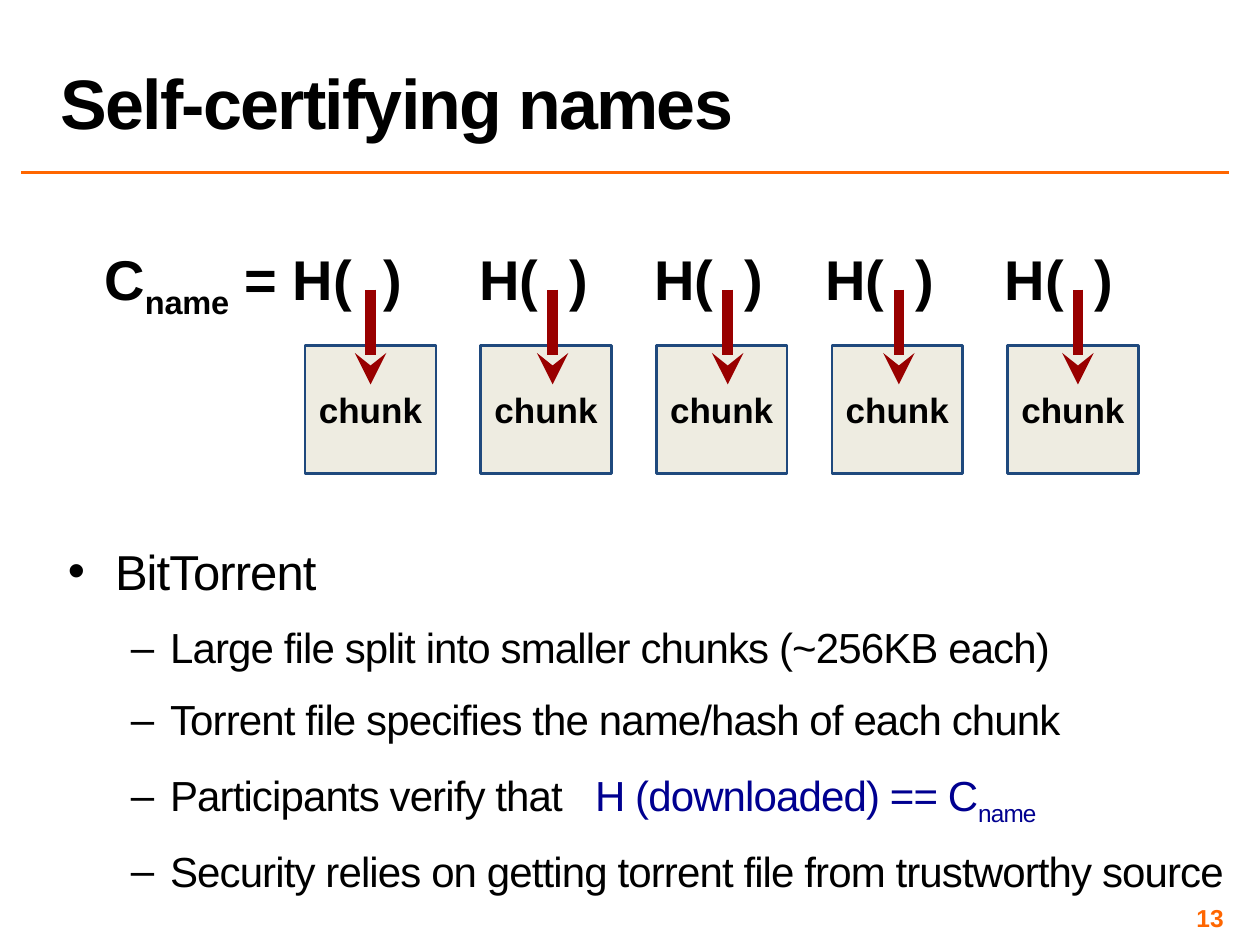
from lxml import etree
from pptx import Presentation
from pptx import util as u
from pptx.dml.color import RGBColor
from pptx.enum import shapes, text
from pptx.oxml.ns import qn

FONT = "Arial"
BLACK, ORANGE, RED, BLUE = "000000", "FF6600", "990000", "000090"
SUBSCRIPT = -25000

CHUNK_LEFT, CHUNK_PITCH = 6.15, 3.54
HASH_WIDTH = 3.68
HASH_LEFTS = (8.92, 12.45, 15.9, 19.51)


def color(hex_string):
    return RGBColor.from_string(hex_string)


def add_spans(para, spans):
    """Each span is (text, color or None, baseline or None)."""
    for words, hex_string, baseline in spans:
        span = para.add_run()
        span.text = words
        if hex_string:
            span.font.color.rgb = color(hex_string)
        if baseline:
            span.font._rPr.set("baseline", str(baseline))


def set_font(para, size, hex_string=BLACK, bold=False, tracking=0):
    font = para.font
    font.name, font.size, font.bold = FONT, u.Pt(size), bold
    font.color.rgb = color(hex_string)
    if tracking:
        font._rPr.set("spc", str(tracking))


def set_frame(frame, anchor, inset_x, inset_y):
    frame.word_wrap = True
    frame.vertical_anchor = anchor
    frame.margin_left = frame.margin_right = u.Cm(inset_x)
    frame.margin_top = frame.margin_bottom = u.Cm(inset_y)


def add_box(page, left, top, width, height, anchor=text.MSO_ANCHOR.TOP,
            inset_x=0.25, inset_y=0.25):
    box = page.shapes.add_textbox(u.Cm(left), u.Cm(top), u.Cm(width), u.Cm(height))
    set_frame(box.text_frame, anchor, inset_x, inset_y)
    return box.text_frame


def add_line(page, x1, y1, x2, y2, hex_string, width, arrow=False):
    line = page.shapes.add_connector(
        shapes.MSO_CONNECTOR.STRAIGHT, u.Cm(x1), u.Cm(y1), u.Cm(x2), u.Cm(y2))
    line.line.color.rgb = color(hex_string)
    line.line.width = u.Pt(width)
    if arrow:
        etree.SubElement(line.line._get_or_add_ln(), qn("a:tailEnd"), type="stealth")
    etree.SubElement(line._element.spPr, qn("a:effectLst"))


def add_title(page, words):
    frame = add_box(page, 0.97, 0.05, 24.43, 2.97, text.MSO_ANCHOR.BOTTOM, 0.25, 0.13)
    para = frame.paragraphs[0]
    para.line_spacing = 0.8
    set_font(para, 40, bold=True, tracking=-100)
    add_spans(para, [(words, None, None)])


def add_page_number(page, number):
    frame = add_box(page, 18.85, 18.21, 5.92, 0.58, text.MSO_ANCHOR.MIDDLE, 0.1, 0.1)
    para = frame.paragraphs[0]
    para.alignment = text.PP_ALIGN.RIGHT
    set_font(para, 14, ORANGE, bold=True)
    add_spans(para, [(number, None, None)])


def add_chunk(page, left):
    chunk = page.shapes.add_shape(
        shapes.MSO_SHAPE.RECTANGLE, u.Cm(left), u.Cm(6.96), u.Cm(2.64), u.Cm(2.59))
    chunk.shadow.inherit = False
    chunk.fill.solid()
    chunk.fill.fore_color.rgb = color("EEECE1")
    chunk.line.color.rgb = color("1F497D")
    chunk.line.width = u.Pt(1.5)
    set_frame(chunk.text_frame, text.MSO_ANCHOR.MIDDLE, 0.25, 0.25)
    para = chunk.text_frame.paragraphs[0]
    para.alignment = text.PP_ALIGN.CENTER
    set_font(para, 20, bold=True)
    add_spans(para, [("chunk", None, None)])


def add_hash(page, left, width, arrow_x, spans):
    para = add_box(page, left, 4.67, width, 1.27).paragraphs[0]
    para.alignment = text.PP_ALIGN.CENTER
    set_font(para, 32, bold=True)
    add_spans(para, spans)
    add_line(page, arrow_x, 5.84, arrow_x, 7.75, RED, 6, arrow=True)


def add_bullet(para, mark, margin, hanging):
    props = para._p.get_or_add_pPr()
    props.set("marL", str(u.Cm(margin)))
    props.set("indent", str(-u.Cm(hanging)))
    etree.SubElement(props, qn("a:buFont"), typeface=FONT)
    etree.SubElement(props, qn("a:buChar"), char=mark)


def add_body(page, heading, points):
    frame = add_box(page, 1.27, 10.82, 24.13, 7.62, inset_x=0.1, inset_y=0.1)
    for index, spans in enumerate([heading] + points):
        para = frame.paragraphs[0] if index == 0 else frame.add_paragraph()
        para.space_after = u.Pt(6)
        if index == 0:
            para.space_before = u.Pt(30)
            add_bullet(para, "•", 0.95, 0.95)
        else:
            para.level = 1
            para.line_spacing = 0.95
            para.space_before = u.Pt(8)
            add_bullet(para, "–", 2.06, 0.79)
        set_font(para, 24 if index else 28, tracking=-50)
        add_spans(para, spans)


def main():
    deck = Presentation()
    deck.slide_width, deck.slide_height = u.Cm(25.4), u.Cm(19.05)
    page = deck.slides.add_slide(deck.slide_layouts[6])

    # Frame of the page
    add_line(page, 0.43, 3.48, 24.77, 3.48, ORANGE, 2)
    add_page_number(page, "13")
    add_title(page, "Self-certifying names")

    # Explanation
    add_body(page, [("BitTorrent", None, None)], [
        [("Large file split into smaller chunks (~256KB each)", None, None)],
        [("Torrent file specifies the name/hash of each chunk", None, None)],
        [("Participants verify that   ", None, None),
         ("H (downloaded) == C", BLUE, None),
         ("name", BLUE, SUBSCRIPT)],
        [("Security relies on getting torrent file from trustworthy source", None, None)],
    ])

    # Chunks, and the hash that names each one
    for column in range(len(HASH_LEFTS) + 1):
        add_chunk(page, CHUNK_LEFT + column * CHUNK_PITCH)
    add_hash(page, 1.27, 7.67, 7.47, [
        ("C", None, None), ("name", None, SUBSCRIPT), (" = H(  )", None, None)])
    for left in HASH_LEFTS:
        add_hash(page, left, HASH_WIDTH, left + 2.22, [("H(  )", None, None)])

    deck.save("out.pptx")


if __name__ == "__main__":
    main()
